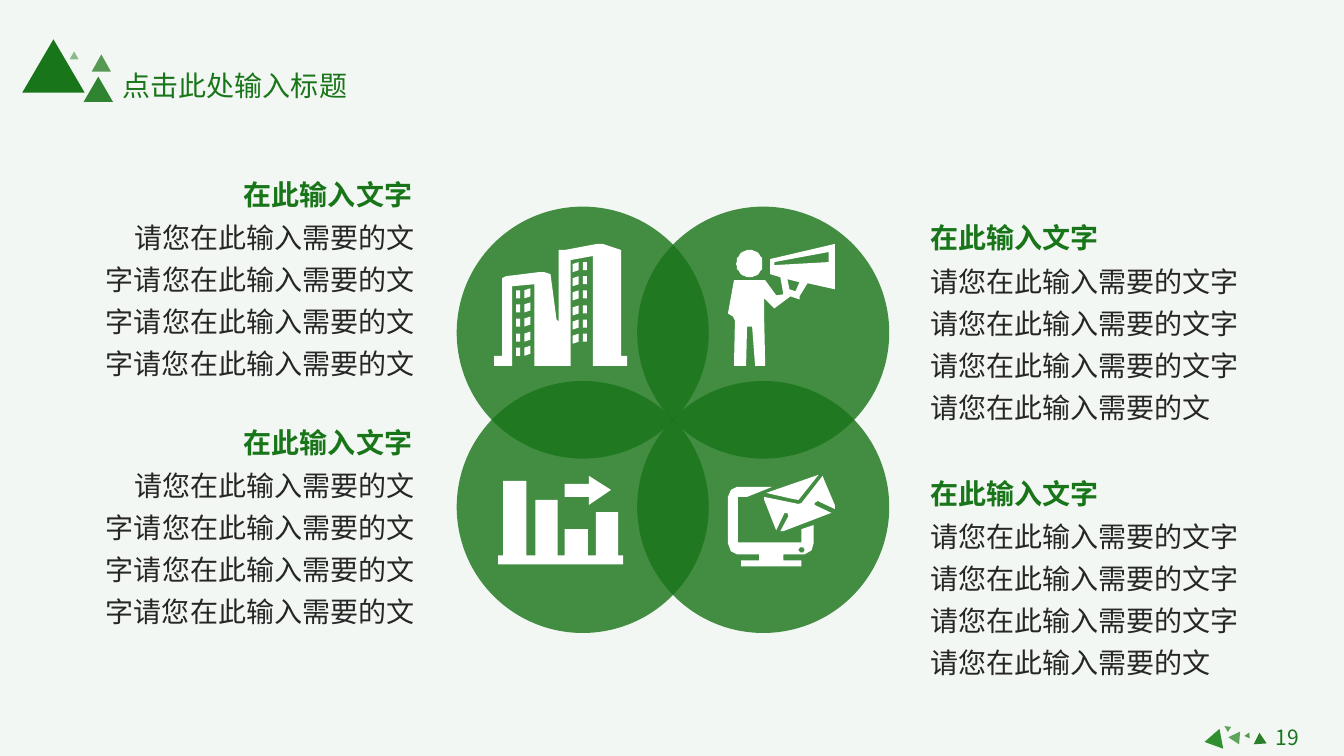
"""Builds a slide with four overlapping icon circles and four text blocks."""
from math import cos, pi, sin

from lxml.etree import SubElement
from pptx import Presentation
from pptx.dml.color import RGBColor
from pptx.enum.shapes import MSO_SHAPE as Kind
from pptx.enum.text import MSO_ANCHOR as Anchor, MSO_AUTO_SIZE as Fit, PP_ALIGN as Align
from pptx.oxml.ns import qn
from pptx.util import Pt

PX = 9144
FACE = "Noto Sans CJK SC"
GREEN, DARK, WHITE = "197519", "262626", "FFFFFF"
HEAD = "在此输入文字"
BODY = "请您在此输入需要的文字" * 3 + "请您在此输入需要的文"


def paint(shape, tone, alpha=100):
    """Fill a shape with a colour, without line or shadow."""
    shape.fill.solid()
    shape.fill.fore_color.rgb = RGBColor.from_string(tone)
    if alpha < 100:
        clr = shape.fill._xPr.find(".//" + qn("a:srgbClr"))
        SubElement(clr, qn("a:alpha"), val=str(alpha * 1000))
    shape.line.fill.background()
    shape.shadow.inherit = False


def write(box, place, words, tone=GREEN, size=20, bold=False, wrap=False,
          align=Align.LEFT, space=1.0, indent=0):
    """Place a text shape and give it one formatted paragraph."""
    for name, val in zip(("left", "top", "width", "height"), place):
        setattr(box, name, val * PX)
    frame = box.text_frame
    looks = {"word_wrap": wrap, "auto_size": Fit.SHAPE_TO_FIT_TEXT, "vertical_anchor": Anchor.TOP}
    for name, val in looks.items():
        setattr(frame, name, val)
    para = frame.paragraphs[0]
    para.alignment, para.line_spacing = align, space
    if indent:
        para._p.get_or_add_pPr().set("indent", str(indent * PX))
    run = para.add_run()
    run.text = words
    for name, val in {"name": FACE, "size": Pt(size), "bold": bold}.items():
        setattr(run.font, name, val)
    run.font.color.rgb = RGBColor.from_string(tone)
    SubElement(run._r.get_or_add_rPr(), qn("a:ea"), typeface=FACE)


deck = Presentation()
deck.slide_width, deck.slide_height = 1333 * PX, 750 * PX
slide = deck.slides.add_slide(deck.slide_layouts[5])
back = slide.background.fill
back.solid()
back.fore_color.rgb = RGBColor.from_string("F3F7F3")
shapes = slide.shapes

towers = [[
    (490, 353), (498, 353), (498, 276), (502, 274), (534, 270), (540, 270), (546, 272),
    (552, 317), (554, 319), (554, 248), (560, 248), (592, 242), (598, 242), (616, 248),
    (616, 353), (622, 353), (622, 363), (588, 363), (588, 254), (566, 258), (566, 363),
    (530, 363), (530, 282), (508, 284), (508, 363), (490, 363)]]
for left, wide, top, rows, slant in ((578, 4, 260, 6, 0), (568, 6, 262, 6, 2),
                                     (512, 4, 288, 5, 0), (520, 6, 288, 5, 2)):
    for row in range(rows):
        y = top + round(14.2 * row)
        towers.append([(left, y), (left, y + 8), (left + wide, y + 8 - slant),
                       (left + wide, y - slant)])

bars = [
    [(522, 551), (522, 477), (499, 477), (499, 551), (494, 551), (494, 560), (618, 560),
     (618, 551), (613, 551), (613, 508), (591, 508), (591, 551), (583, 551), (583, 525),
     (560, 525), (560, 551), (553, 551), (553, 496), (531, 496), (531, 551)],
    [(560, 493), (560, 480), (584, 480), (584, 472), (606, 486), (584, 501), (584, 493)]]

turns = [2 * pi * step / 32 for step in range(32)]
crier = [
    [(round(743.5 + 13 * cos(t)), round(261.5 + 13.5 * sin(t))) for t in turns],
    [(781, 277), (783, 287), (789, 289), (793, 280)],
    [(801, 281), (793, 294), (793, 297), (790, 296), (784, 294), (768, 306), (758, 296),
     (758, 318), (759, 363), (749, 363), (746, 324), (741, 324), (740, 363), (728, 363),
     (729, 318), (727, 314), (722, 311), (728, 278), (759, 278), (770, 293), (777, 292),
     (774, 275), (764, 272), (764, 257), (828, 242), (828, 287)],
    [(768, 260), (768, 263), (822, 260), (822, 250)]]

mail = [
    [(731, 483), (766, 483), (741, 493), (732, 493), (732, 538), (795, 538), (795, 525),
     (807, 521), (807, 539), (805, 546), (798, 550), (777, 550), (777, 556), (795, 556),
     (795, 562), (735, 562), (735, 556), (753, 556), (753, 550), (731, 550), (725, 547),
     (722, 539), (722, 493), (725, 486)],
    [(812, 471), (760, 489), (786, 495), (792, 496)],
    [(816, 472), (795, 499), (792, 500), (758, 493), (758, 496), (769, 524), (770, 526),
     (778, 509), (781, 509), (782, 512), (774, 527), (777, 527), (824, 509), (825, 509),
     (808, 501), (808, 499), (811, 497), (828, 505), (828, 501), (817, 475)],
    [(round(795 + 3 * cos(t)), round(545.5 + 2.5 * sin(t))) for t in turns]]

for x, y, icon in ((453, 205, towers), (453, 378, bars), (632, 205, crier), (632, 378, mail)):
    paint(shapes.add_shape(Kind.OVAL, x * PX, y * PX, 250 * PX, 250 * PX), GREEN, 81)
    form = shapes.build_freeform(*icon[0][0], scale=PX)
    form.add_line_segments(icon[0][1:])
    for ring in icon[1:]:
        form.move_to(*ring[0])
        form.add_line_segments(ring[1:])
    paint(form.convert_to_shape(), WHITE)

for x, y, wide, high, turn, tone, alpha in (
        (1220, 728, 13, 11, 153.9, "5EA45A", 100),
        (1193, 726, 20, 17, 259.5, "309030", 100),
        (1243, 727, 13, 11, 356.2, "2B7E2A", 100),
        (1214, 719, 6, 6, 303.5, "5EA45A", 100),
        (1235, 728, 6, 5, 145.8, "559551", 100),
        (22, 39, 62, 53, 0, GREEN, 100),
        (83, 76, 29, 25, 0, GREEN, 89),
        (69, 51, 9, 8, 0, GREEN, 47),
        (91, 54, 19, 17, 0, GREEN, 72)):
    peak = shapes.add_shape(Kind.ISOSCELES_TRIANGLE, x * PX, y * PX, wide * PX, high * PX)
    peak.rotation = turn
    paint(peak, tone, alpha)

for x, head, wide, top, align, indent in (
        (72, 182, 239, 163, Align.RIGHT, 50), (72, 182, 239, 409, Align.RIGHT, 50),
        (913, 913, 189, 206, Align.LEFT, 0), (913, 913, 189, 459, Align.LEFT, 0)):
    write(shapes.add_textbox(0, 0, 0, 0), (x, top + 43, 349, 174), BODY, DARK,
          wrap=True, align=align, space=1.25, indent=indent)
    write(shapes.add_textbox(0, 0, 0, 0), (head, top, wide, 48), HEAD,
          bold=True, space=1.25, indent=indent)

write(shapes.title, (111, 63, 244, 44), "点击此处输入标题", align=Align.CENTER)
write(shapes.add_textbox(0, 0, 0, 0), (1243, 714, 68, 35), "19", size=15,
      wrap=True, align=Align.CENTER)

deck.save("out.pptx")
